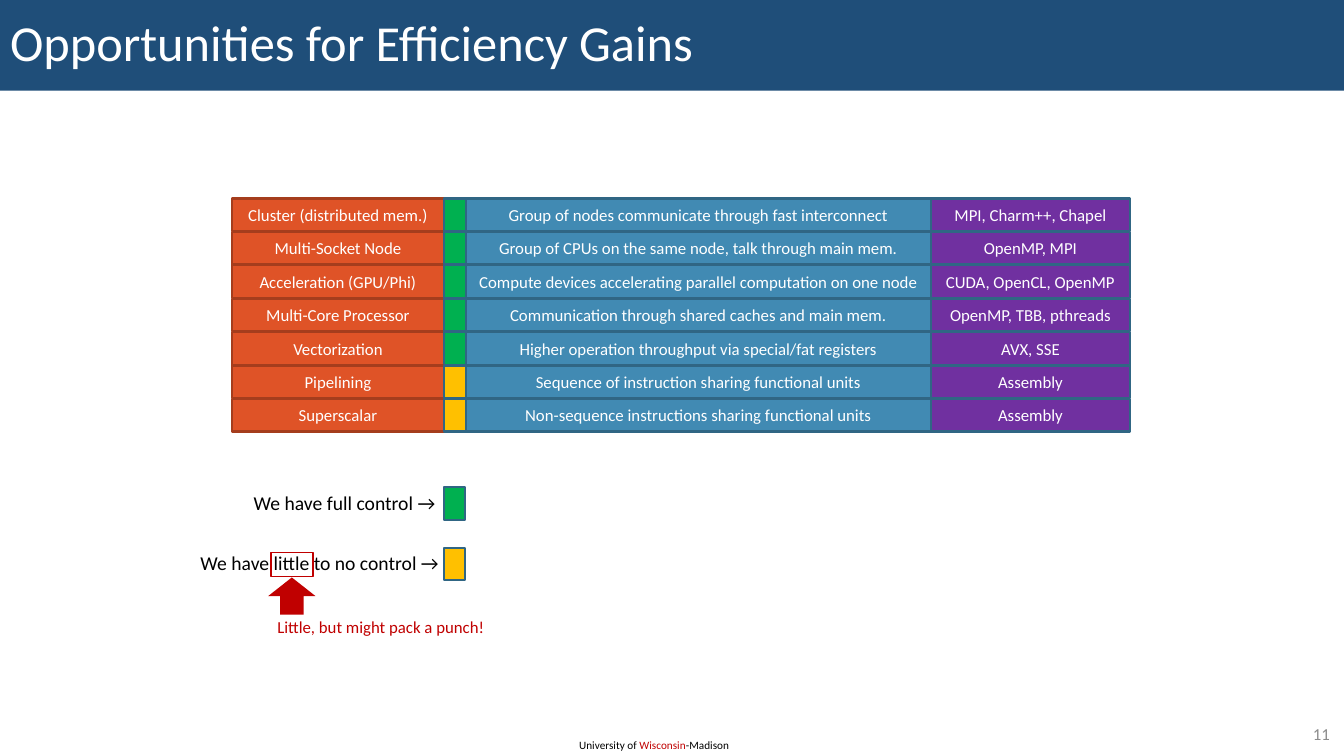
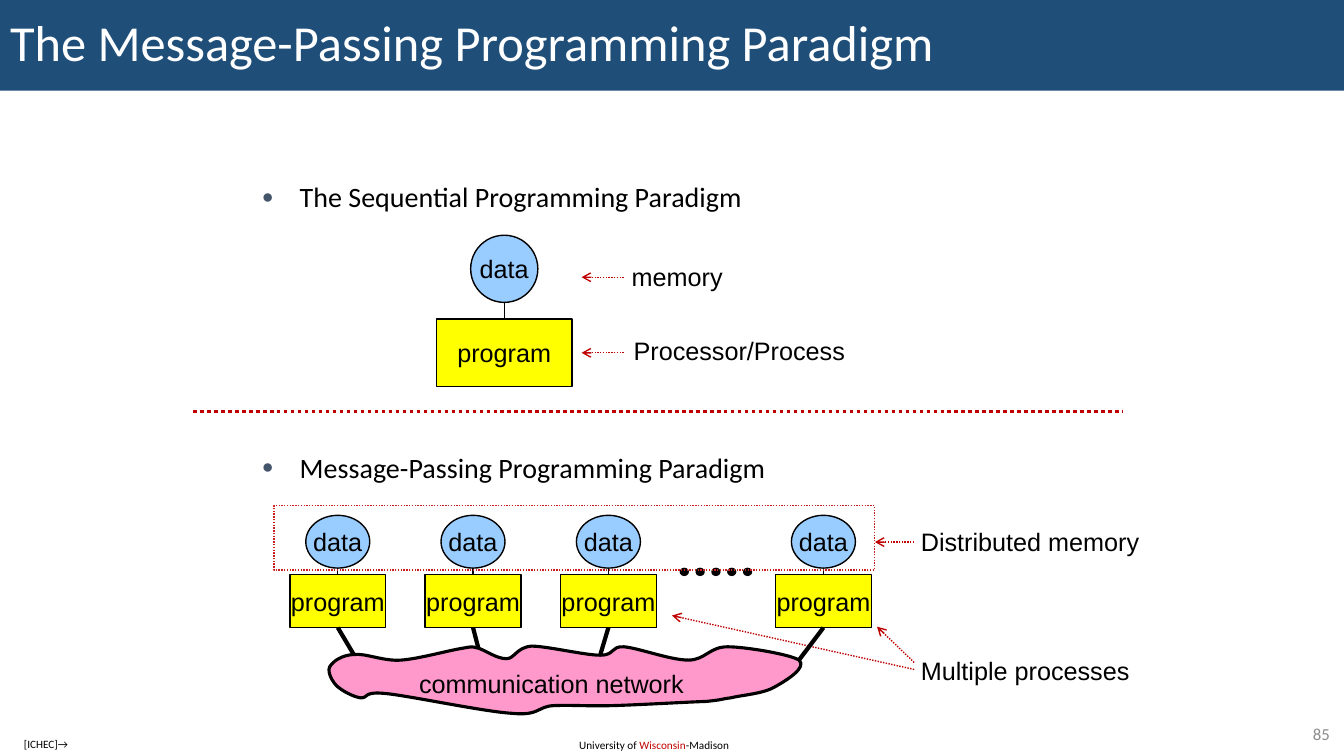
import pptx
import pptx.dml.color
import pptx.enum.dml
import pptx.enum.shapes
import pptx.enum.text
import pptx.oxml
import pptx.oxml.ns
import pptx.util
from lxml import etree

Pt = pptx.util.Pt
SHAPE = pptx.enum.shapes.MSO_SHAPE
ALIGN = pptx.enum.text.PP_ALIGN
MIDDLE = pptx.enum.text.MSO_ANCHOR.MIDDLE
DOTTED = pptx.enum.dml.MSO_LINE.ROUND_DOT

# Shared look
WIDTH, HEIGHT = 960, 540
BLACK, WHITE, RED, GREY = "000000", "FFFFFF", "C00000", "8C8C8C"
NAVY, SLATE = "1F4E79", "44546A"
ORANGE, RUST, BLUE, TEAL, PURPLE = "DF5327", "A53D1D", "418AB3", "306684", "7030A0"
GREEN, AMBER = "00B050", "FFC000"
SKY, YELLOW, PINK = "99CCFF", "FFFF00", "FF99CC"

LEVELS = [
    ("Cluster (distributed mem.)", GREEN,
     "Group of nodes communicate through fast interconnect", "MPI, Charm++, Chapel"),
    ("Multi-Socket Node", GREEN,
     "Group of CPUs on the same node, talk through main mem.", "OpenMP, MPI"),
    ("Acceleration (GPU/Phi)", GREEN,
     "Compute devices accelerating parallel computation on one node",
     "CUDA, OpenCL, OpenMP"),
    ("Multi-Core Processor", GREEN,
     "Communication through shared caches and main mem.", "OpenMP, TBB, pthreads"),
    ("Vectorization", GREEN,
     "Higher operation throughput via special/fat registers", "AVX, SSE"),
    ("Pipelining", AMBER,
     "Sequence of instruction sharing functional units", "Assembly"),
    ("Superscalar", AMBER,
     "Non-sequence instructions sharing functional units", "Assembly"),
]
ROW_HEIGHT, ROW_PITCH, SWATCH_WIDTH = 23.3, 23.86, 15.3

# Cloud outline: start point, then two controls and an end for each curve
CLOUD = [
    (18, 6),
    (27, 5), (39, 11), (52, 10), (65, 9), (86, 3), (96, 1.5),
    (104, 0), (102, 0.5), (107, 1.5), (112, 3), (120, 9), (127, 9),
    (133, 9), (134, 1), (145, 0), (156, 0), (183, 6.5), (194, 6.5),
    (205, 6.5), (201, 0), (211, 0.5), (222, 1.5), (244, 10), (257, 10),
    (269, 10), (272, 0.5), (285, 0.5), (298, 0.5), (330, 6), (336, 10),
    (342, 15), (328, 24), (319, 29), (311, 34), (295, 35), (287, 37),
    (279, 38), (284, 38), (270, 39.5), (256, 40), (221, 42), (203, 42.5),
    (185, 43), (174, 42), (161, 42.5), (149, 43), (151, 50), (131, 48),
    (112, 47), (60, 36), (42, 34), (24, 32), (29, 37), (23, 37),
    (17, 36), (10, 32), (6.5, 29), (3, 26), (-1, 19), (0.7, 15),
    (3, 11), (9, 6.5), (18, 6),
]
CLOUD_TIES = [(18, 6), (107, 1.5), (194, 6.5), (336, 10)]


def rgb(value):
    return pptx.dml.color.RGBColor.from_string(value)


def add_tag(parent, tag, **attributes):
    return etree.SubElement(parent, pptx.oxml.ns.qn("a:" + tag), attributes)


def set_font(font, size, color, name="Calibri"):
    font.size, font.name = Pt(size), name
    font.color.rgb = rgb(color)


def paint(shape, fill=None, line=None, weight=1.0, dash=None):
    shape.shadow.inherit = False
    if fill:
        shape.fill.solid()
        shape.fill.fore_color.rgb = rgb(fill)
    else:
        shape.fill.background()
    if line:
        shape.line.color.rgb = rgb(line)
        shape.line.width = Pt(weight)
        shape.line.dash_style = dash
    else:
        shape.line.fill.background()


def write(frame, words, size, color, name="Calibri", align=ALIGN.LEFT, spacing=None):
    paragraph = frame.paragraphs[0]
    paragraph.text = words
    paragraph.alignment = align
    paragraph.line_spacing = spacing
    set_font(paragraph.font, size, color, name)


def add_box(slide, preset, box, words="", size=12, color=WHITE, name="Calibri",
            wrap=True, **look):
    shape = slide.shapes.add_shape(preset, *map(Pt, box))
    paint(shape, **look)
    if words:
        shape.text_frame.word_wrap = wrap
        shape.text_frame.vertical_anchor = MIDDLE
        write(shape.text_frame, words, size, color, name, ALIGN.CENTER)
    return shape


def text_frame(slide, box, wrap=False):
    frame = slide.shapes.add_textbox(*map(Pt, box)).text_frame
    frame.word_wrap = wrap
    return frame


def add_label(slide, box, words, size=18, color=BLACK, name="Arial", **style):
    write(text_frame(slide, box), words, size, color, name, **style)


def add_line(slide, start, end, color=BLACK, weight=1.0, dash=None, arrow=False):
    line = slide.shapes.add_connector(
        pptx.enum.shapes.MSO_CONNECTOR.STRAIGHT, *map(Pt, (*start, *end)))
    line.line.color.rgb = rgb(color)
    line.line.width = Pt(weight)
    line.line.dash_style = dash
    if arrow:
        add_tag(line.line._get_or_add_ln(), "tailEnd", type="arrow")
    add_tag(line._element.spPr, "effectLst")
    return line


def add_pointer(slide, start, tip):
    add_line(slide, start, tip, RED, dash=DOTTED, arrow=True)


def add_bullet(slide, box, words, spacing=None):
    frame = text_frame(slide, box, wrap=True)
    properties = frame.paragraphs[0]._p.get_or_add_pPr()
    properties.set("marL", str(Pt(27)))
    properties.set("indent", str(Pt(-27)))
    add_tag(add_tag(properties, "buClr"), "srgbClr", val=SLATE)
    add_tag(properties, "buSzPct", val="70000")
    add_tag(properties, "buFont", typeface="Arial")
    add_tag(properties, "buChar", char="●")
    write(frame, words, 20, BLACK, spacing=spacing)


def start_slide(deck, heading, number):
    """Title band, university footer and page number."""
    slide = deck.slides.add_slide(deck.slide_layouts[5])
    title = slide.shapes.title
    title.left, title.top, title.width, title.height = map(Pt, (0, 0, WIDTH, 64.8))
    title.fill.solid()
    title.fill.fore_color.rgb = rgb(NAVY)
    title.text_frame.auto_size = pptx.enum.text.MSO_AUTO_SIZE.NONE
    title.text_frame.vertical_anchor = MIDDLE
    write(title.text_frame, heading, 36, WHITE, spacing=0.9)

    footer = text_frame(slide, (406.6, 523.8, 124, 17), wrap=True).paragraphs[0]
    for words, color in (("University of ", BLACK), ("Wisconsin", RED),
                         ("-Madison", BLACK)):
        run = footer.add_run()
        run.text = words
        set_font(run.font, 8, color)

    page = text_frame(slide, (902, 513.5, 55, 21), wrap=True)
    page.vertical_anchor = MIDDLE
    write(page, number, 12, GREY, align=ALIGN.RIGHT)
    return slide


def add_level_grid(slide, left, top):
    """One row per hardware level: name, control swatch, meaning, tools."""
    widths = (151.7, SWATCH_WIDTH, 332.6, 141.8)
    for row, (level, control, meaning, tools) in enumerate(LEVELS):
        cells = ((level, ORANGE, RUST), ("", control, TEAL),
                 (meaning, BLUE, TEAL), (tools, PURPLE, TEAL))
        x = left
        for width, (words, fill, line) in zip(widths, cells):
            add_box(slide, SHAPE.FLOWCHART_PROCESS,
                    (x, top + row * ROW_PITCH, width, ROW_HEIGHT),
                    words, fill=fill, line=line, weight=1.5)
            x += width


def add_control_legend(slide, left, top):
    """Key to the swatches, with a remark on the word "little"."""
    entries = (("We have full control →", 38, 0.4, GREEN),
               ("We have little to no control →", 0, 43.6, AMBER))
    for words, indent, drop, fill in entries:
        add_label(slide, (left + indent, top + drop, 188 - indent, 24), words,
                  14, name="Calibri")
        add_box(slide, SHAPE.FLOWCHART_PROCESS,
                (left + 181, top + drop + 1, SWATCH_WIDTH, ROW_HEIGHT),
                fill=fill, line=TEAL, weight=1.5)
    add_box(slide, SHAPE.RECTANGLE, (left + 57.4, top + 48, 30.2, 17.3), line=RED)
    add_box(slide, SHAPE.UP_ARROW, (left + 55.5, top + 65.8, 33.8, 26.6), fill=RED)
    add_label(slide, (left + 54.9, top + 90.2, 164, 22),
              "Little, but might pack a punch!", 12, RED, "Calibri")


def add_process(slide, center, top, data_size, program_size, gap):
    """Data ellipse tied to the program box below it; returns the program."""
    (data_width, data_height), (width, height) = data_size, program_size
    add_box(slide, SHAPE.OVAL, (center - data_width / 2, top, *data_size),
            "data", 18, BLACK, "Arial", wrap=False, fill=SKY, line=BLACK)
    bottom = top + data_height
    program = add_box(slide, SHAPE.RECTANGLE,
                      (center - width / 2, bottom + gap, *program_size),
                      "program", 18, BLACK, "Arial", wrap=False,
                      fill=YELLOW, line=BLACK)
    tie = add_line(slide, (center, bottom), (center, bottom + gap))
    tie.end_connect(program, 0)
    return program


def add_sequential(slide, left, top):
    """A single process with its two parts named."""
    add_bullet(slide, (left, top, 583, 36), "The Sequential Programming Paradigm", 0.9)
    add_process(slide, left + 180.2, top + 40.5, (48, 48), (97, 48), 12)
    for words, x, y, width, pointer in (("memory", 264.2, 55.5, 80, 70.5),
                                        ("Processor/Process", 265.5, 108.7, 167, 124.5)):
        add_label(slide, (left + x, top + y, width, 29.5), words)
        add_pointer(slide, (left + 265.5, top + pointer), (left + 235.5, top + pointer))


def add_cloud(slide, left, top):
    """Closed outline of cubic curves through every third cloud point."""
    points = [(Pt(left + x), Pt(top + y)) for x, y in CLOUD]
    builder = slide.shapes.build_freeform(*points[0])
    builder.add_line_segments(points[3::3], close=True)
    cloud = builder.convert_to_shape()
    paint(cloud, fill=PINK, line=BLACK, weight=2.25)
    segments = list(cloud._element.iter(pptx.oxml.ns.qn("a:lnTo")))
    for i, segment in enumerate(segments):
        curve = etree.Element(pptx.oxml.ns.qn("a:cubicBezTo"))
        for x, y in points[3 * i + 1:3 * i + 4]:
            add_tag(curve, "pt", x=str(x - cloud.left), y=str(y - cloud.top))
        segment.getparent().replace(segment, curve)


def add_network(slide, left, top, programs):
    """Cloud with a thick tie to each program."""
    add_cloud(slide, left, top)
    add_label(slide, (left + 57.6, top + 12, 205, 29.5), "communication network")
    for program, (x, y) in zip(programs, CLOUD_TIES):
        tie = add_line(slide, (left + x, top), (left + x, top + y), weight=3)
        tie.begin_connect(program, 2)
        tie.end_x, tie.end_y = Pt(left + x), Pt(top + y)


def add_message_passing(slide, left, top):
    """Processes on a shared network, with their memory framed."""
    add_bullet(slide, (left, top, 583, 30), "Message-Passing Programming Paradigm")
    for words, y in (("Distributed memory", 56.6), ("Multiple processes", 149)):
        add_label(slide, (left + 470.7, top + y, 171, 27), words, spacing=0.9)
    for start, tip in (((473, 69), (445, 69)), ((473, 155), (446.5, 129.5)),
                       ((473, 160), (300, 121.5))):
        add_pointer(slide, (left + start[0], top + start[1]),
                    (left + tip[0], top + tip[1]))
    programs = [add_process(slide, left + center, top + 49.9, (45.7, 37.7), (68.4, 37.7), 4.8)
                for center in (61.3, 157.9, 254.6, 408.2)]
    for i in range(5):
        add_box(slide, SHAPE.OVAL, (left + 306 + i * 11.3, top + 87.8, 5.6, 5),
                fill=BLACK, line=BLACK)
    add_network(slide, left + 54.7, top + 143.3, programs)
    add_box(slide, SHAPE.RECTANGLE, (left + 15.6, top + 43, 429.2, 46),
            line="C82020", dash=DOTTED)


def main():
    deck = pptx.Presentation()
    deck.slide_width, deck.slide_height = Pt(WIDTH), Pt(HEIGHT)

    # Hardware levels and how far we control them
    gains = start_slide(deck, "Opportunities for Efficiency Gains", "11")
    add_level_grid(gains, 165.6, 141.8)
    add_control_legend(gains, 136.1, 346.7)

    # Sequential against message passing
    paradigm = start_slide(deck, "The Message-Passing Programming Paradigm", "85")
    add_sequential(paradigm, 180, 127.5)
    add_line(paradigm, (138, 294), (802, 294), RED, 2.5, DOTTED)
    add_message_passing(paradigm, 180, 318.2)
    add_label(paradigm, (10, 523, 52, 17), "[ICHEC]→", 8, name="Calibri")

    deck.save("out.pptx")


if __name__ == "__main__":
    main()
